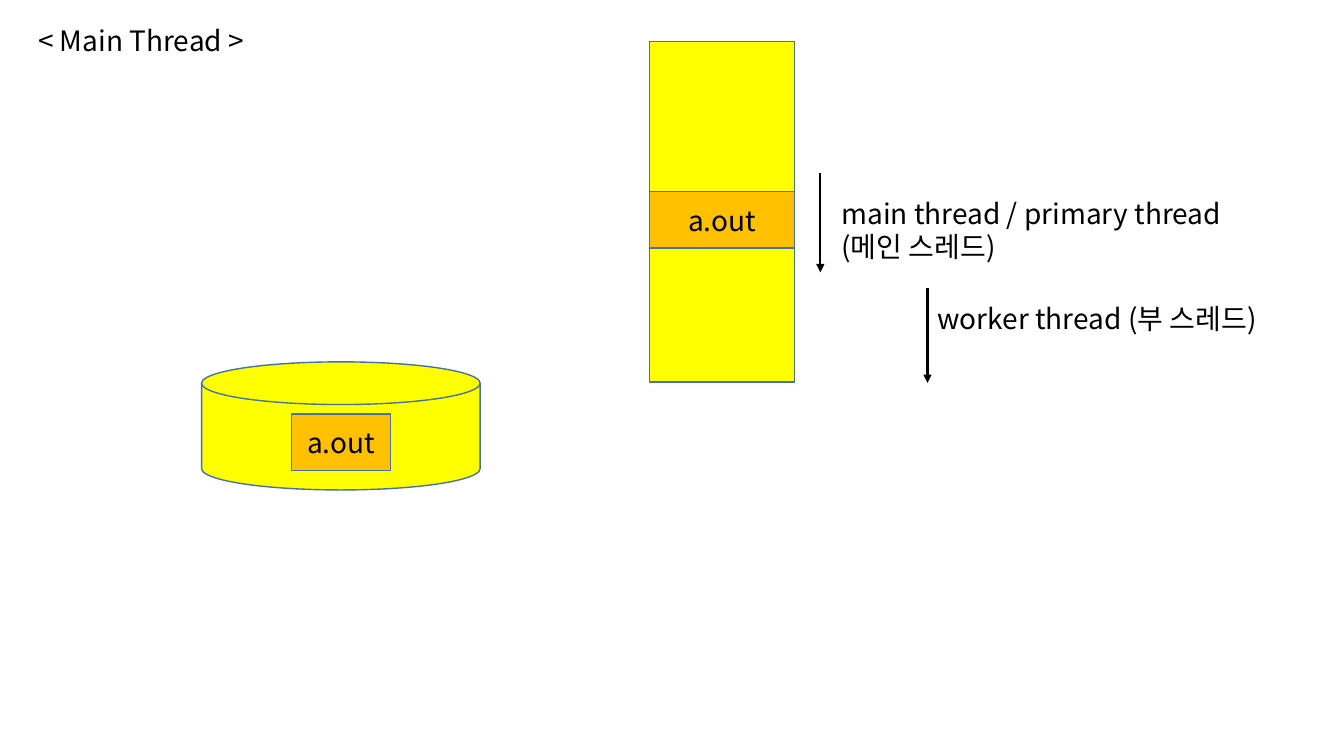
"""Build the Main Thread slide."""
import pptx
import pptx.dml.color
import pptx.enum.shapes
import pptx.enum.text
import pptx.oxml
import pptx.oxml.ns
import pptx.util

Pt = pptx.util.Pt
SHAPE = pptx.enum.shapes.MSO_SHAPE
ALIGN = pptx.enum.text.PP_ALIGN
ANCHOR = pptx.enum.text.MSO_ANCHOR
FONT = "Noto Sans CJK KR"
COLORS = {"memory": "FFFF00", "program": "FFC000", "outline": "43739E", "ink": "000000"}


def rgb(name):
    """Return the named colour."""
    return pptx.dml.color.RGBColor.from_string(COLORS[name])


def append_xml(parent, tag, attributes=""):
    """Append an empty DrawingML element to parent."""
    ns = pptx.oxml.ns.nsdecls("a")
    parent.append(pptx.oxml.parse_xml(f"<a:{tag} {ns} {attributes}/>"))


def write(sp, lines, align, anchor):
    """Write one paragraph per line in the slide font."""
    tf = sp.text_frame
    tf.text = "\n".join(lines)
    tf.vertical_anchor = anchor
    for p in tf.paragraphs:
        p.alignment = align
        p.font.name = FONT
        p.font.size = Pt(20)
        p.font.color.rgb = rgb("ink")
        props = p._p.get_or_add_pPr().find(pptx.oxml.ns.qn("a:defRPr"))
        append_xml(props, "ea", f'typeface="{FONT}"')


def label(sp, lines):
    """Fill a text box or title with unwrapped left-aligned lines."""
    write(sp, lines, ALIGN.LEFT, ANCHOR.TOP)
    sp.text_frame.word_wrap = False
    sp.text_frame.auto_size = pptx.enum.text.MSO_AUTO_SIZE.SHAPE_TO_FIT_TEXT


def add_title(slide, text, x, y, w, h):
    """Place and fill the title placeholder."""
    sp = slide.shapes.title
    sp.left, sp.top, sp.width, sp.height = Pt(x), Pt(y), Pt(w), Pt(h)
    label(sp, [text])


def add_label(slide, lines, x, y, w, h):
    """Add a text box."""
    label(slide.shapes.add_textbox(Pt(x), Pt(y), Pt(w), Pt(h)), lines)


def add_block(slide, kind, fill, x, y, w, h):
    """Add an outlined shape and return it."""
    sp = slide.shapes.add_shape(kind, Pt(x), Pt(y), Pt(w), Pt(h))
    sp.shadow.inherit = False
    sp.fill.solid()
    sp.fill.fore_color.rgb = rgb(fill)
    sp.line.color.rgb = rgb("outline")
    sp.line.width = Pt(1)
    return sp


def add_program(slide, x, y, w):
    """Add an a.out block."""
    sp = add_block(slide, SHAPE.RECTANGLE, "program", x, y, w, 40.5)
    write(sp, ["a.out"], ALIGN.CENTER, ANCHOR.MIDDLE)


def add_thread(slide, x, top, bottom):
    """Add a downward thread arrow."""
    line = slide.shapes.add_connector(
        pptx.enum.shapes.MSO_CONNECTOR.STRAIGHT, Pt(x), Pt(top), Pt(x), Pt(bottom))
    line.line.color.rgb = rgb("ink")
    line.line.width = Pt(1.5)
    append_xml(line.line._get_or_add_ln(), "tailEnd", 'type="triangle"')
    append_xml(line._element.spPr, "effectLst")


def main():
    """Build and save the slide."""
    prs = pptx.Presentation()
    prs.slide_width, prs.slide_height = Pt(960), Pt(540)
    slide = prs.slides.add_slide(prs.slide_layouts.get_by_name("Title Only"))
    add_title(slide, "< Main Thread >", 20, 13.5, 166.5, 31.5)

    add_block(slide, SHAPE.FLOWCHART_MAGNETIC_DISK, "memory", 144, 258.5, 199, 91.5)
    add_program(slide, 208, 295.75, 71)

    add_block(slide, SHAPE.RECTANGLE, "memory", 463.75, 29.5, 104, 243.5)
    add_program(slide, 463.75, 136.75, 104)

    add_thread(slide, 586, 123.75, 194.5)
    add_label(slide, ["main thread / primary thread", "(메인 스레드)"], 594, 136.75, 297.5, 55.5)
    add_thread(slide, 662.5, 206, 273.5)
    add_label(slide, ["worker thread (부 스레드)"], 662.5, 211.75, 267, 31.5)

    prs.save("out.pptx")


main()
